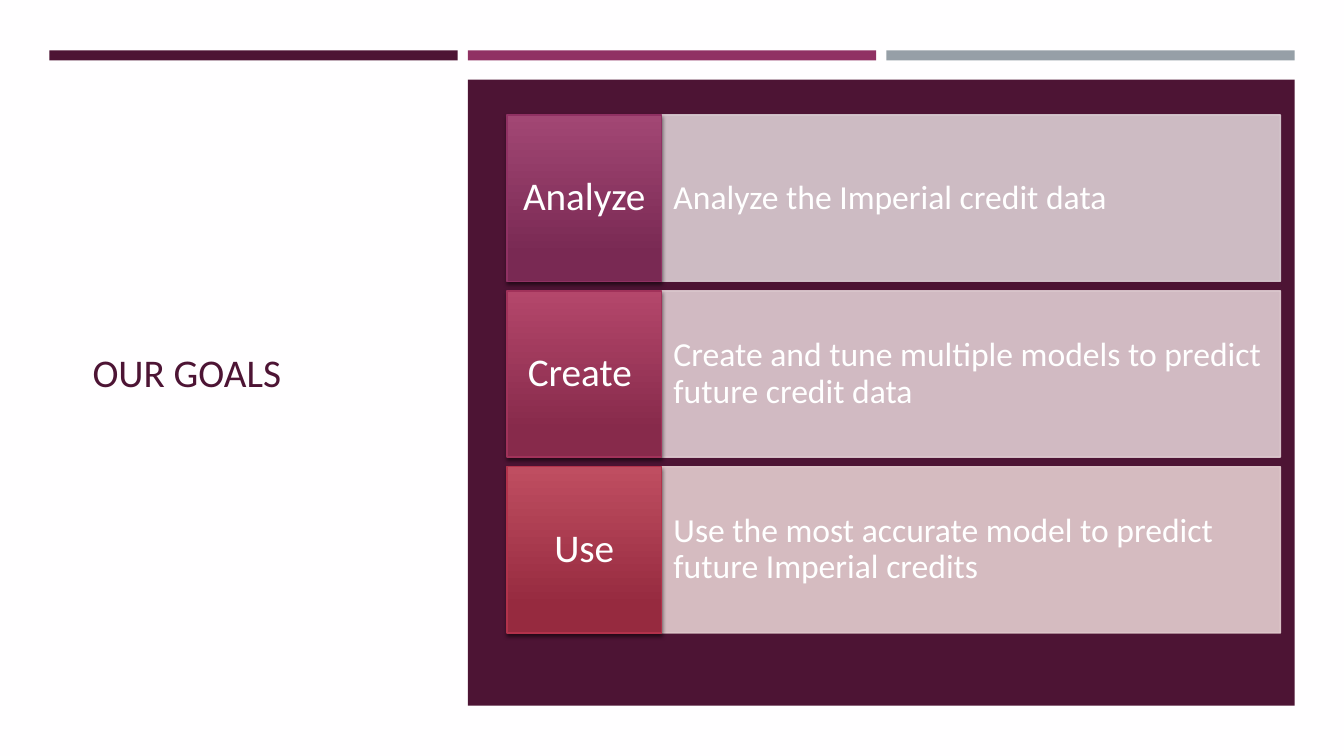
from lxml import etree
from pptx import Presentation
from pptx.dml.color import RGBColor
from pptx.enum.shapes import MSO_SHAPE
from pptx.enum.text import MSO_ANCHOR, PP_ALIGN
from pptx.oxml.ns import qn
from pptx.util import Inches, Pt


def color(value):
    return RGBColor.from_string(value)


def add_box(left, top, width, height, fill, text="", size=24, text_color="FFFFFF",
            align=PP_ALIGN.LEFT, inset=0.1):
    box = slide.shapes.add_shape(MSO_SHAPE.RECTANGLE, Inches(left), Inches(top),
                                 Inches(width), Inches(height))
    box.shadow.inherit = False
    box.line.fill.background()
    if fill:
        box.fill.solid()
        box.fill.fore_color.rgb = color(fill)
    else:
        box.fill.background()
    if text:
        frame = box.text_frame
        frame.word_wrap = True
        frame.vertical_anchor = MSO_ANCHOR.MIDDLE
        frame.margin_left = frame.margin_right = Inches(inset)
        paragraph = frame.paragraphs[0]
        paragraph.alignment = align
        paragraph.line_spacing = 0.9
        run = paragraph.add_run()
        run.text = text
        run.font.name = "Calibri"
        run.font.size = Pt(size)
        run.font.color.rgb = color(text_color)
    return box


prs = Presentation()
prs.slide_width = Inches(13.33)
prs.slide_height = Inches(7.5)
slide = prs.slides.add_slide(prs.slide_layouts[6])
slide.background.fill.solid()
slide.background.fill.fore_color.rgb = color("FFFEFF")

add_box(0.82, 1.14, 3.34, 5.15, None, "OUR GOALS", 28, "4D1434")

for column, bar_color in enumerate(["4D1434", "903163", "969FA7"]):
    add_box(0.49 + column * 4.15, 0.5, 4.05, 0.1, bar_color)

add_box(4.64, 0.79, 8.2, 6.21, "4D1434")

goals = [
    ("Analyze", "Analyze the Imperial credit data",
     "DBCED3", "A24774", "792953", "903163"),
    ("Create ", "Create and tune multiple models to predict future credit data",
     "E0CDD2", "B4476B", "872A4B", "A1325A"),
    ("Use", "Use the most accurate model to predict future Imperial credits",
     "E4CED0", "BF4E61", "962A3F", "B2324B"),
]
for row, (verb, goal, pale, light, dark, edge) in enumerate(goals):
    top = 1.14 + row * 1.745

    panel = add_box(6.56, top, 6.14, 1.65, pale, goal, inset=0.12)
    panel.line.color.rgb = color(pale)
    panel.line.width = Pt(1)
    for tint in panel.fill._xPr.iter(qn("a:srgbClr")):
        etree.SubElement(tint, qn("a:alpha"), val="90000")

    tile = add_box(5.03, top, 1.53, 1.65, light, verb, 28,
                   align=PP_ALIGN.CENTER, inset=0.08)
    tile.line.color.rgb = color(edge)
    tile.line.width = Pt(1)
    tile.fill.gradient()
    tile.fill.gradient_angle = 270
    for stop, position, shade in zip(tile.fill.gradient_stops, (0, 0.84), (light, dark)):
        stop.position = position
        stop.color.rgb = color(shade)
    effects = tile._element.spPr.find(qn("a:effectLst"))
    shadow = etree.SubElement(effects, qn("a:outerShdw"), blurRad=str(Pt(3)),
                              dist=str(Pt(2)), dir="5400000", rotWithShape="0")
    shadow_color = etree.SubElement(shadow, qn("a:srgbClr"), val="000000")
    etree.SubElement(shadow_color, qn("a:alpha"), val="55000")

prs.save("out.pptx")
